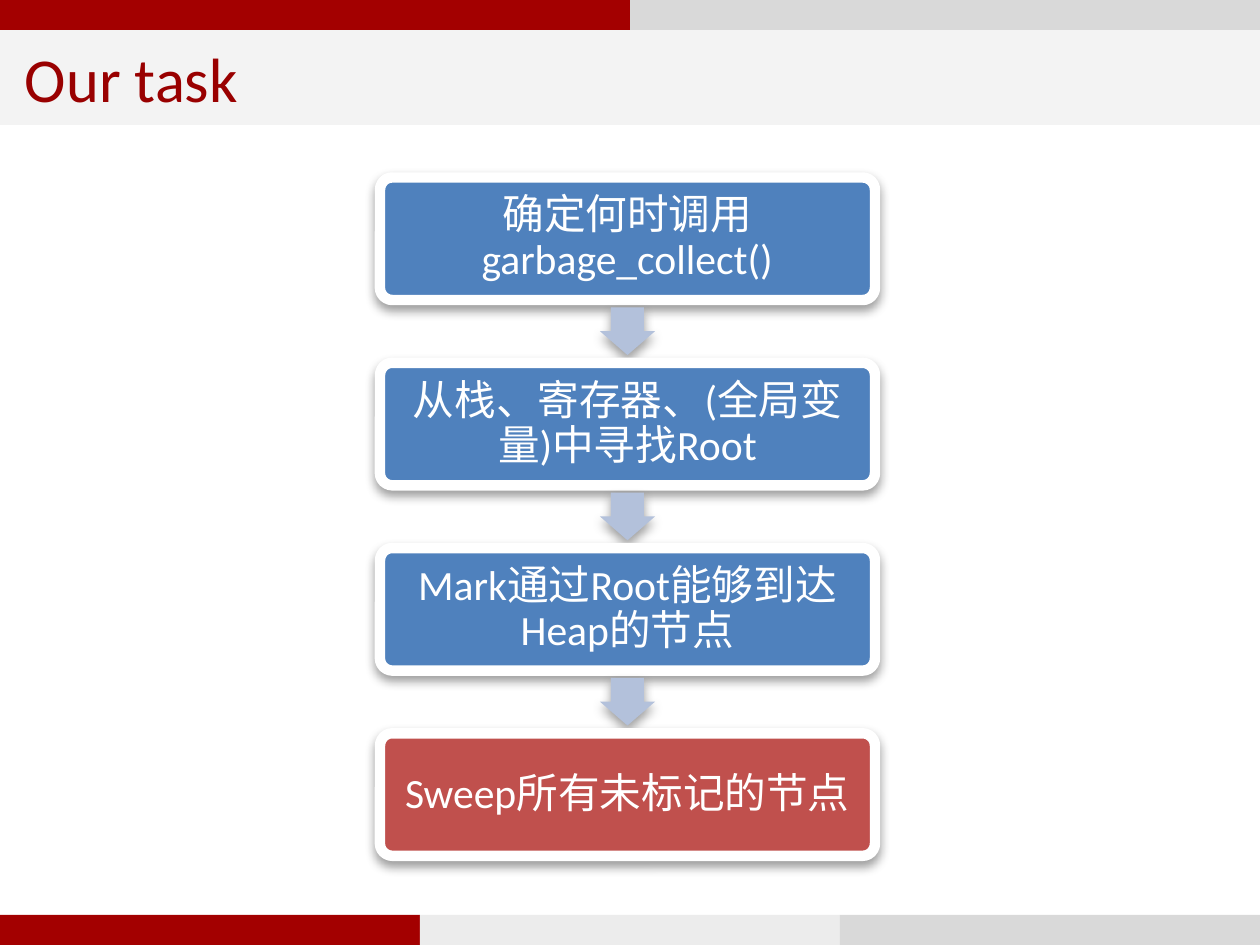
from lxml import etree
from pptx import Presentation
from pptx.dml.color import RGBColor
from pptx.enum import shapes, text
from pptx.oxml import ns
from pptx.util import Inches, Pt

RED = RGBColor(0xA3, 0x00, 0x00)
DARK = RGBColor(0x99, 0x00, 0x00)
GRAY = RGBColor(0xD9, 0xD9, 0xD9)
LIGHT = RGBColor(0xEC, 0xEC, 0xEC)
PALE = RGBColor(0xF3, 0xF3, 0xF3)
BLUE = RGBColor(0x4F, 0x81, 0xBD)
ROSE = RGBColor(0xC0, 0x50, 0x4D)
MIST = RGBColor(0xB3, 0xC1, 0xDB)
WHITE = RGBColor(0xFF, 0xFF, 0xFF)
KIND = shapes.MSO_SHAPE


def draw(kind, left, top, width, height, color):
    shape = slide.shapes.add_shape(
        kind, Inches(left), Inches(top), Inches(width), Inches(height))
    shape.shadow.inherit = False
    shape.fill.solid()
    shape.fill.fore_color.rgb = color
    shape.line.fill.background()
    return shape


def shade(shape):
    effect = shape._element.spPr.find(ns.qn("a:effectLst"))
    outer = etree.SubElement(
        effect, ns.qn("a:outerShdw"), blurRad=str(Pt(3.1)), dist=str(Pt(1.6)),
        dir="5400000", rotWithShape="0")
    black = etree.SubElement(outer, ns.qn("a:srgbClr"), val="000000")
    etree.SubElement(black, ns.qn("a:alpha"), val="38000")


deck = Presentation()
deck.slide_width, deck.slide_height = Inches(5.04), Inches(3.78)
slide = deck.slides.add_slide(deck.slide_layouts[5])

for top, colors in ((0, (RED, GRAY)), (3.66, (RED, LIGHT, GRAY))):
    width = 5.04 / len(colors)
    for i, color in enumerate(colors):
        draw(KIND.RECTANGLE, i * width, top, width, 0.12, color)

title = slide.shapes.title
title.left, title.top = Inches(0), Inches(0.12)
title.width, title.height = Inches(5.04), Inches(0.38)
title.fill.solid()
title.fill.fore_color.rgb = PALE
title.text_frame.text = "Our task"
title.text_frame.vertical_anchor = text.MSO_ANCHOR.MIDDLE
head = title.text_frame.paragraphs[0]
head.alignment = text.PP_ALIGN.LEFT
head.font.name = "Calibri"
head.font.size = Pt(18)
head.font.color.rgb = DARK

steps = (
    ("确定何时调用garbage_collect()", BLUE),
    ("从栈、寄存器、(全局变量)中寻找Root", BLUE),
    ("Mark通过Root能够到达Heap的节点", BLUE),
    ("Sweep所有未标记的节点", ROSE),
)
for i, (words, color) in enumerate(steps):
    top = 0.71 + i * 0.741
    box = draw(KIND.ROUNDED_RECTANGLE, 1.52, top, 1.98, 0.49, color)
    box.adjustments[0] = 0.1
    box.line.color.rgb = WHITE
    box.line.width = Pt(3)
    shade(box)
    frame = box.text_frame
    frame.word_wrap = True
    frame.vertical_anchor = text.MSO_ANCHOR.MIDDLE
    frame.margin_left = frame.margin_right = Inches(0.05)
    frame.margin_top = frame.margin_bottom = Inches(0.05)
    frame.text = words
    para = frame.paragraphs[0]
    para.alignment = text.PP_ALIGN.CENTER
    para.line_spacing = 0.9
    para.font.name = "Calibri"
    para.font.size = Pt(12)
    para.font.color.rgb = WHITE
    if i < len(steps) - 1:
        arrow = draw(KIND.DOWN_ARROW, 2.4, top + 0.52, 0.22, 0.19, MIST)
        arrow.adjustments[0] = 0.6
        arrow.adjustments[1] = 0.5
        shade(arrow)

deck.save("out.pptx")
